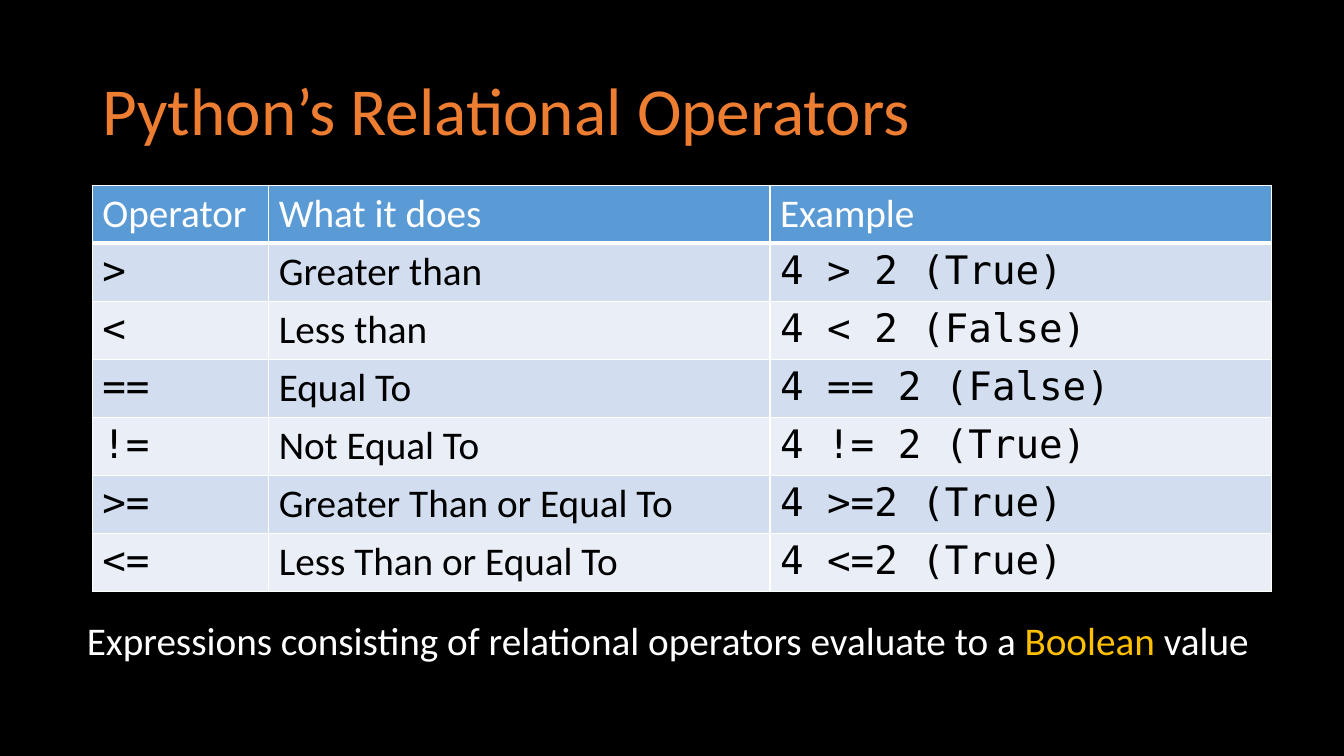
from pptx import Presentation
from pptx.dml.color import RGBColor as RGB
from pptx.enum.text import MSO_ANCHOR as ANCHOR, MSO_AUTO_SIZE as AUTO
from pptx.oxml.ns import qn
from pptx.util import Pt
from lxml.etree import SubElement

COLORS = {
    "background": "000000",
    "title": "ED7D31",
    "header": "5B9BD5",
    "odd": "D2DEEF",
    "even": "EAEFF7",
    "light": "FFFFFF",
    "dark": "000000",
    "accent": "FFC000",
}
SANS, MONO = "Calibri", "DejaVu Sans Mono"
COLUMN_WIDTHS = (126, 358, 358)
ROW_HEIGHT = 41.4
ROWS = [
    ("Operator", "What it does", "Example"),
    (">", "Greater than", "4 > 2 (True)"),
    ("<", "Less than", "4 < 2 (False)"),
    ("==", "Equal To", "4 == 2 (False)"),
    ("!=", "Not Equal To", "4 != 2 (True)"),
    (">=", "Greater Than or Equal To", "4 >=2 (True)"),
    ("<=", "Less Than or Equal To", "4 <=2 (True)"),
]


def color(name):
    return RGB.from_string(COLORS[name])


def add_run(p, text, size=28, font=SANS, fill="light"):
    r = p.add_run()
    r.text = text
    r.font.size = Pt(size)
    r.font.name = font
    r.font.color.rgb = color(fill)


def add_text_box(s, left, top, width, height, wrap=True):
    tf = s.shapes.add_textbox(Pt(left), Pt(top), Pt(width), Pt(height)).text_frame
    tf.word_wrap = wrap
    return tf


def set_borders(cell, bottom):
    tc_pr = cell._tc.get_or_add_tcPr()
    for side, width in (("L", 1), ("R", 1), ("T", 1), ("B", bottom)):
        ln = SubElement(tc_pr, qn(f"a:ln{side}"), w=str(Pt(width)))
        fill = SubElement(ln, qn("a:solidFill"))
        SubElement(fill, qn("a:srgbClr"), val=COLORS["light"])


def add_operator_table(s, left, top):
    table = s.shapes.add_table(
        len(ROWS), len(COLUMN_WIDTHS), Pt(left), Pt(top),
        Pt(sum(COLUMN_WIDTHS)), Pt(ROW_HEIGHT * len(ROWS))).table
    for column, width in zip(table.columns, COLUMN_WIDTHS):
        column.width = Pt(width)
    for i, texts in enumerate(ROWS):
        table.rows[i].height = Pt(ROW_HEIGHT)
        header = i == 0
        band = "header" if header else "odd" if i % 2 else "even"
        for j, text in enumerate(texts):
            cell = table.cell(i, j)
            set_borders(cell, bottom=3 if header else 1)
            cell.fill.solid()
            cell.fill.fore_color.rgb = color(band)
            add_run(cell.text_frame.paragraphs[0], text,
                    font=SANS if header or j == 1 else MONO,
                    fill="light" if header else "dark")


def add_title(s, text):
    tf = add_text_box(s, 66, 28.8, 828, 104.4)
    tf.vertical_anchor = ANCHOR.MIDDLE
    p = tf.paragraphs[0]
    p.line_spacing = 0.9
    add_run(p, text, size=48, fill="title")


def add_summary(s):
    tf = add_text_box(s, 54.9, 436.3, 854, 41.2, wrap=False)
    tf.auto_size = AUTO.SHAPE_TO_FIT_TEXT
    p = tf.paragraphs[0]
    add_run(p, "Expressions consisting of relational operators evaluate to a ")
    add_run(p, "Boolean", fill="accent")
    add_run(p, " value")


def main():
    prs = Presentation()
    prs.slide_width, prs.slide_height = Pt(960), Pt(540)
    s = prs.slides.add_slide(prs.slide_layouts[6])
    s.background.fill.solid()
    s.background.fill.fore_color.rgb = color("background")
    add_operator_table(s, 66, 132.3)
    add_title(s, "Python’s Relational Operators")
    add_summary(s)
    prs.save("out.pptx")


if __name__ == "__main__":
    main()
